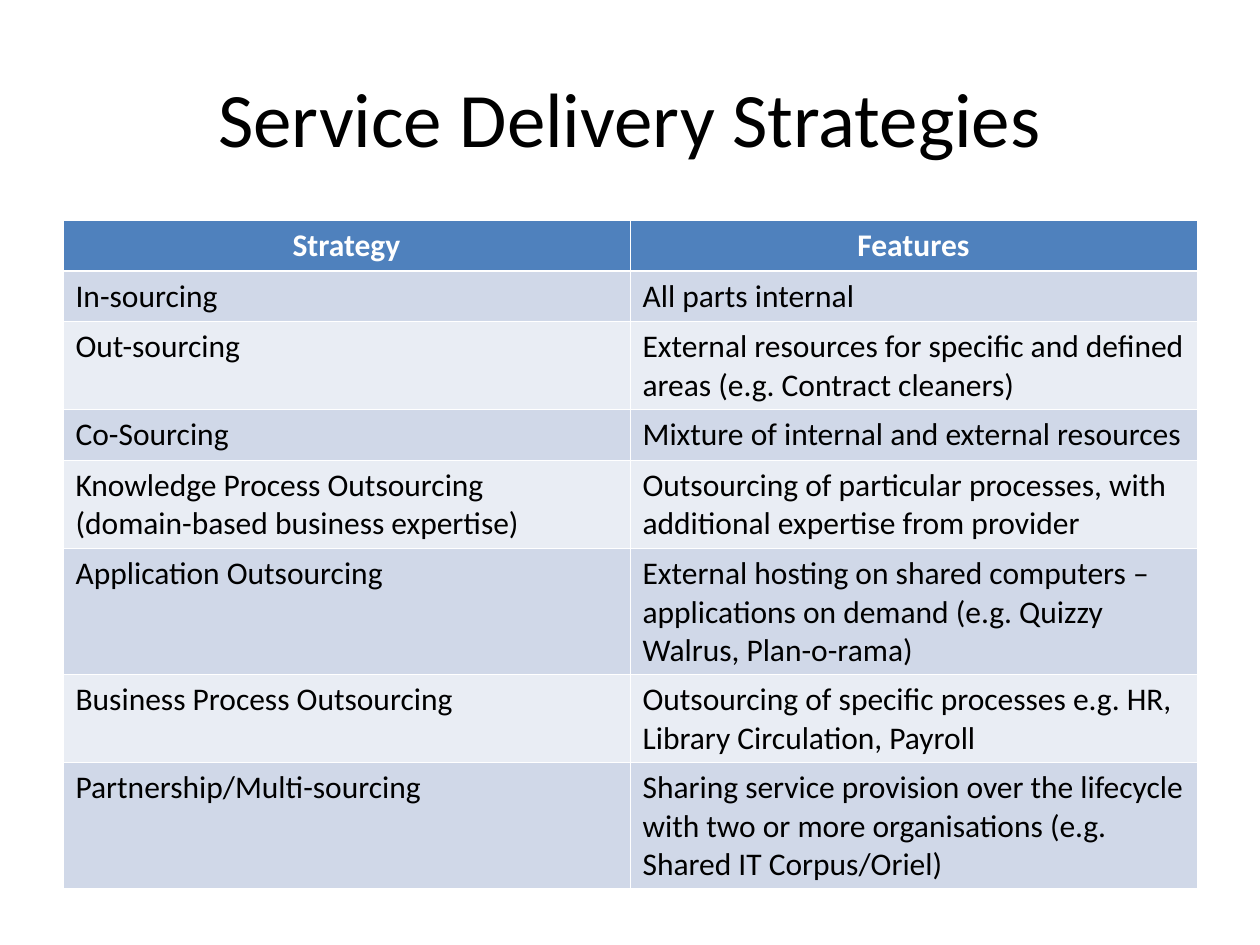
from lxml.etree import SubElement
from pptx import Presentation
from pptx.dml.color import RGBColor
from pptx.enum.text import MSO_ANCHOR, PP_ALIGN
from pptx.oxml.ns import qn
from pptx.util import Inches, Pt

FONT = "Calibri"
WHITE, BLACK = "FFFFFF", "000000"
HEADER_FILL = "4F81BD"
BAND_FILLS = ("E9EDF4", "D0D8E8")
THIN, THICK = 0.45, 1.47
LINE_HEIGHT, CELL_PADDING = 0.3, 0.1

HEADINGS = ("Strategy", "Features")
# Strategy, features, number of text lines
STRATEGIES = [
    ("In-sourcing", "All parts internal", 1),
    ("Out-sourcing",
     "External resources for specific and defined areas (e.g. Contract cleaners)", 2),
    ("Co-Sourcing", "Mixture of internal and external resources", 1),
    ("Knowledge Process Outsourcing\n(domain-based business expertise)",
     "Outsourcing of particular processes, with additional expertise from provider", 2),
    ("Application Outsourcing",
     "External hosting on shared computers – applications on demand "
     "(e.g. Quizzy Walrus, Plan-o-rama)", 3),
    ("Business Process Outsourcing",
     "Outsourcing of specific processes e.g. HR, Library Circulation, Payroll", 2),
    ("Partnership/Multi-sourcing",
     "Sharing service provision over the lifecycle with two or more organisations "
     "(e.g. Shared IT Corpus/Oriel)", 3),
]


def color(hex_value):
    return RGBColor.from_string(hex_value)


def write_text(frame, text, size, hex_value, align, bold=False):
    frame.text = text
    for paragraph in frame.paragraphs:
        paragraph.alignment = align
        font = paragraph.font
        font.name, font.size, font.bold = FONT, Pt(size), bold
        font.color.rgb = color(hex_value)


def add_title(slide, left, top, width, height):
    title = slide.shapes.add_textbox(left, top, width, height)
    frame = title.text_frame
    frame.word_wrap = True
    frame.vertical_anchor = MSO_ANCHOR.MIDDLE
    write_text(frame, "Service Delivery Strategies", 44, BLACK, PP_ALIGN.CENTER)


def set_borders(cell, top, bottom):
    properties = cell._tc.get_or_add_tcPr()
    for side, points in (("L", THIN), ("R", THIN), ("T", top), ("B", bottom)):
        line = SubElement(properties, qn(f"a:ln{side}"), w=str(Pt(points)))
        fill = SubElement(line, qn("a:solidFill"))
        SubElement(fill, qn("a:srgbClr"), val=WHITE)


def style_cell(cell, text, row):
    set_borders(cell, THICK if row == 1 else THIN, THICK if row == 0 else THIN)
    cell.fill.solid()
    if row == 0:
        cell.fill.fore_color.rgb = color(HEADER_FILL)
        write_text(cell.text_frame, text, 18, WHITE, PP_ALIGN.CENTER, bold=True)
    else:
        cell.fill.fore_color.rgb = color(BAND_FILLS[row % 2])
        write_text(cell.text_frame, text, 18, BLACK, PP_ALIGN.LEFT)


def add_strategy_table(slide, left, top, width):
    rows = [(*HEADINGS, 1), *STRATEGIES]
    heights = [Inches(LINE_HEIGHT * lines + CELL_PADDING) for *_, lines in rows]
    table = slide.shapes.add_table(
        len(rows), len(HEADINGS), left, top, width, sum(heights)).table
    for row, (*texts, _) in enumerate(rows):
        table.rows[row].height = heights[row]
        for column, text in enumerate(texts):
            style_cell(table.cell(row, column), text, row)


def main():
    presentation = Presentation()
    presentation.slide_width, presentation.slide_height = Inches(10), Inches(7.5)
    slide = presentation.slides.add_slide(presentation.slide_layouts[6])
    left, width = Inches(0.5), Inches(9)
    add_title(slide, left, Inches(0.3), width, Inches(1.25))
    add_strategy_table(slide, left, Inches(1.75), width)
    presentation.save("out.pptx")


if __name__ == "__main__":
    main()
